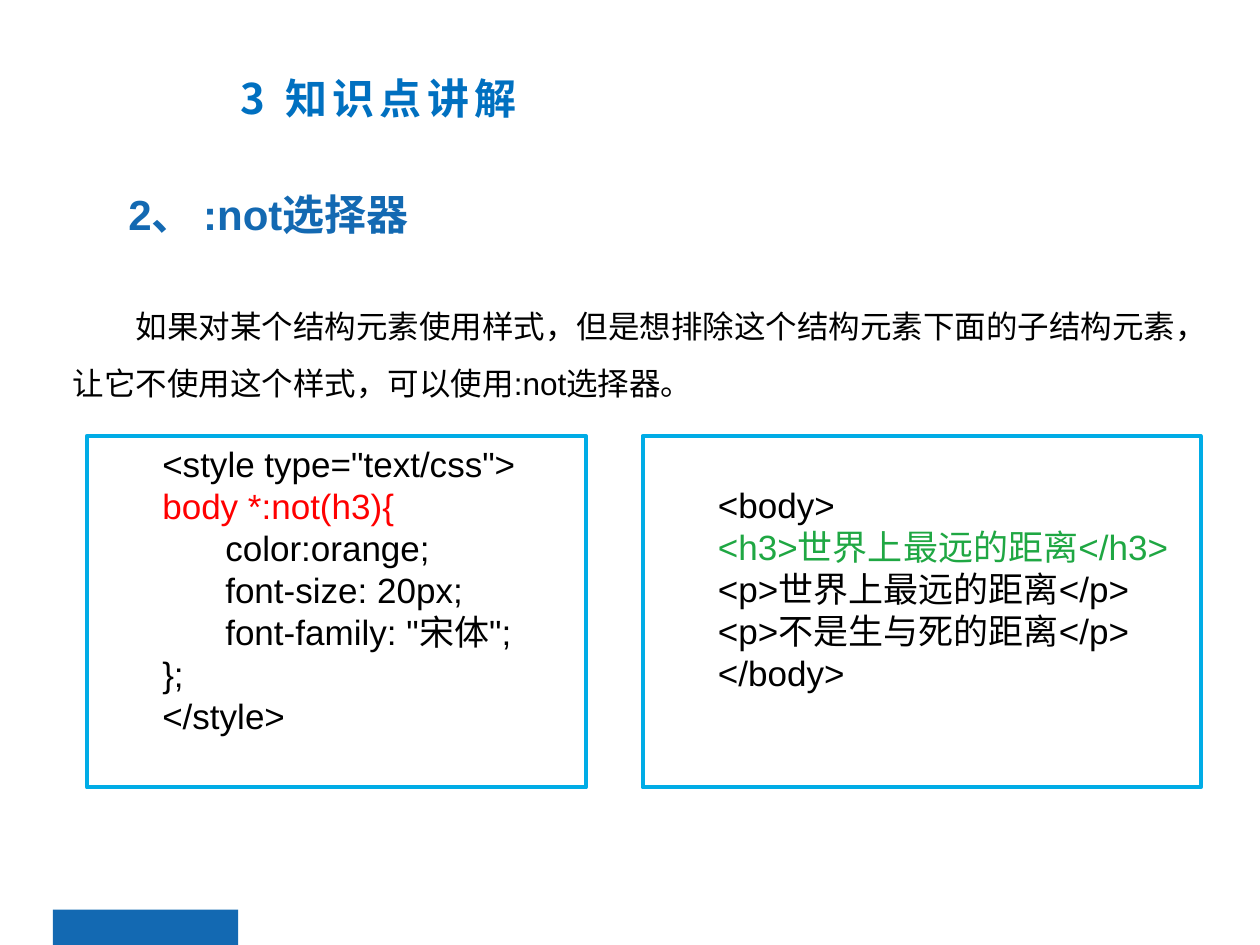
from lxml import etree
from pptx import Presentation, util as u
from pptx.dml.color import RGBColor
from pptx.enum import shapes, text
from pptx.oxml.ns import qn

CJK = "Noto Sans CJK SC"
BLUE = "1369B2"
BLACK = "000000"


def color(value):
    return RGBColor.from_string(value)


def format_paragraph(p, size, value, font="Arial", bold=False, left=0, indent=0, spacing=0):
    p.alignment = text.PP_ALIGN.LEFT
    pPr = p._p.get_or_add_pPr()
    pPr.set("marL", str(u.Inches(left)))
    pPr.set("indent", str(u.Inches(indent)))
    for r in p.runs:
        r.font.size = u.Pt(size)
        r.font.name = font
        r.font.bold = bold
        r.font.color.rgb = color(value)
        rPr = r._r.get_or_add_rPr()
        rPr.set("spc", str(spacing * 100))
        etree.SubElement(rPr, qn("a:ea")).set("typeface", CJK)


def add_text(s, box, content, size, value, **style):
    sp = s.shapes.add_textbox(*map(u.Inches, box))
    tf = sp.text_frame
    tf.word_wrap = True
    tf.text = content
    p = tf.paragraphs[0]
    format_paragraph(p, size, value, **style)
    return p


def add_rect(s, box, fill=None, line=None):
    sp = s.shapes.add_shape(shapes.MSO_SHAPE.RECTANGLE, *map(u.Inches, box))
    sp.shadow.inherit = False
    if fill:
        sp.fill.solid()
        sp.fill.fore_color.rgb = color(fill)
    else:
        sp.fill.background()
    if line:
        sp.line.color.rgb = color(line)
        sp.line.width = u.Pt(2.25)
    else:
        sp.line.fill.background()
    return sp


def add_code(s, left, width, lines, highlight, value, top_inset=0.05):
    sp = add_rect(s, (left, 3.46, width, 2.79), line="00ACE6")
    tf = sp.text_frame
    tf.word_wrap = True
    tf.vertical_anchor = text.MSO_ANCHOR.TOP
    tf.margin_top = u.Inches(top_inset)
    tf.text = "\n".join(lines)
    for i, p in enumerate(tf.paragraphs):
        format_paragraph(p, 20, value if i == highlight else BLACK, indent=0.5)


def main():
    prs = Presentation()
    prs.slide_width, prs.slide_height = u.Inches(10), u.Inches(7.5)
    s = prs.slides.add_slide(prs.slide_layouts[6])

    add_rect(s, (0.42, 7.22, 1.47, 0.28), fill=BLUE)
    p = add_text(s, (0.48, 2.24, 9, 1.2),
                 "如果对某个结构元素使用样式，但是想排除这个结构元素下面的子结构元素，"
                 "让它不使用这个样式，可以使用:not选择器。", 18, BLACK, indent=0.5)
    p.line_spacing = 1.5
    p.space_before = u.Pt(3.6)
    p = add_text(s, (0.42, 1.45, 8.36, 0.5), "2、 :not选择器", 24, BLUE, bold=True, left=0.5)
    p.space_before = u.Pt(4.2)
    add_text(s, (1.81, 0.53, 8.49, 0.79), "3 知识点讲解", 24, "0070C0",
             font=CJK, bold=True, spacing=3)

    add_code(s, 0.69, 3.96, [
        '<style type="text/css">',
        "body *:not(h3){",
        "\tcolor:orange;",
        "\tfont-size: 20px;",
        '\tfont-family: "宋体";',
        "};",
        "</style>",
    ], 1, "FF0000")
    add_code(s, 5.1, 4.43, [
        "<body>",
        "<h3>世界上最远的距离</h3>",
        "<p>世界上最远的距离</p>",
        "<p>不是生与死的距离</p>",
        "</body>",
    ], 1, "1FA743", top_inset=0.38)

    prs.save("out.pptx")


if __name__ == "__main__":
    main()
